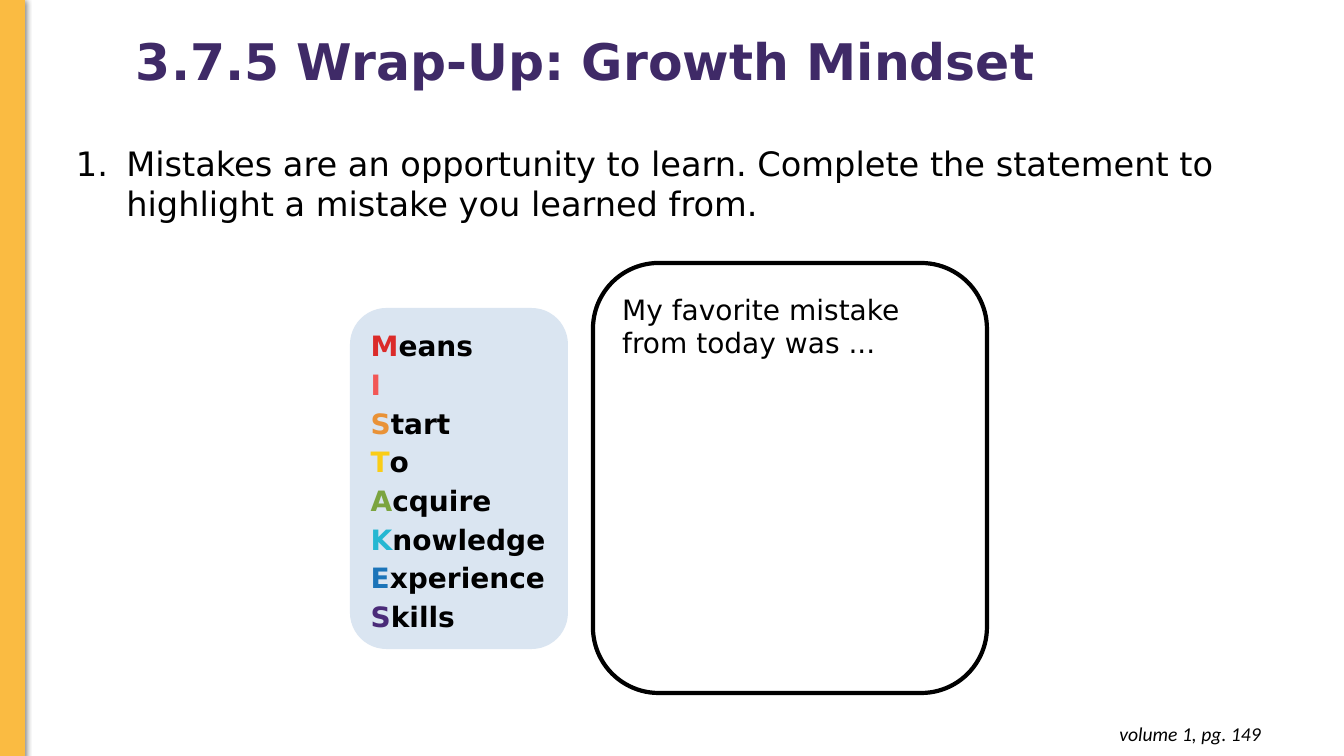
import pptx
import pptx.util
import pptx.dml.color
import pptx.enum.shapes
import pptx.enum.text
import pptx.oxml
import pptx.oxml.ns

PX = 12192000 / 1344
SANS = "DejaVu Sans"
SHAPE = pptx.enum.shapes.MSO_SHAPE
ALIGN = pptx.enum.text.PP_ALIGN
ANCHOR = pptx.enum.text.MSO_ANCHOR
FIT = pptx.enum.text.MSO_AUTO_SIZE


def rgb(color):
    return pptx.dml.color.RGBColor.from_string(color)


def write(p, text, color="000000", **fmt):
    """Add a run to p, with fmt giving its font attributes."""
    r = p.add_run()
    r.text = text
    r.font.color.rgb = rgb(color)
    for name, value in fmt.items():
        setattr(r.font, name, value)


prs = pptx.Presentation()
prs.slide_width, prs.slide_height = round(1344 * PX), round(756 * PX)
s = prs.slides.add_slide(prs.slide_layouts[1])
title, body = s.placeholders
bar = s.shapes.add_shape(SHAPE.RECTANGLE, 0, 0, 0, 0)
answer = s.shapes.add_shape(SHAPE.ROUNDED_RECTANGLE, 0, 0, 0, 0)
acronym = s.shapes.add_shape(SHAPE.ROUNDED_RECTANGLE, 0, 0, 0, 0)
page = s.shapes.add_textbox(0, 0, 0, 0)

# Position, vertical inset and anchor of every shape
layout = [
    (bar, (0, -1, 25, 757), 5, ANCHOR.MIDDLE),
    (answer, (593, 263, 394, 430), 10, ANCHOR.TOP),
    (acronym, (350, 308, 218, 341), 5, ANCHOR.MIDDLE),
    (page, (981, 712, 290, 44), 10, ANCHOR.TOP),
    (title, (126, 31, 1176, 66), 5, ANCHOR.MIDDLE),
    (body, (66, 138, 1206, 92), 5, ANCHOR.TOP),
]
for sp, box, inset, anchor in layout:
    sp.left, sp.top, sp.width, sp.height = [round(v * PX) for v in box]
    frame = {
        "word_wrap": True,
        "auto_size": FIT.NONE,
        "vertical_anchor": anchor,
        "margin_left": round(10 * PX),
        "margin_right": round(10 * PX),
        "margin_top": round(inset * PX),
        "margin_bottom": round(inset * PX),
    }
    for name, value in frame.items():
        setattr(sp.text_frame, name, value)
    sp.text_frame.paragraphs[0].alignment = ALIGN.LEFT

# Yellow side bar with a soft shadow
bar.fill.solid()
bar.fill.fore_color.rgb = rgb("FABB42")
bar.line.color.rgb = rgb("FABB42")
bar.line.width = pptx.util.Pt(0.75)
bar._element.spPr.append(pptx.oxml.parse_xml(
    f'<a:effectLst {pptx.oxml.ns.nsdecls("a")}>'
    '<a:outerShdw blurRad="57150" dist="19050" dir="5400000" algn="bl" rotWithShape="0">'
    '<a:srgbClr val="000000"><a:alpha val="50000"/></a:srgbClr>'
    '</a:outerShdw></a:effectLst>'))

# Title
p = title.text_frame.paragraphs[0]
p.line_spacing = 0.9
write(p, "3.7.5 Wrap-Up: Growth Mindset", "3F2A67",
      name=SANS, size=pptx.util.Pt(36), bold=True)

# Numbered prompt
p = body.text_frame.paragraphs[0]
pPr = p._p.get_or_add_pPr()
pPr.set("marL", "457200")
pPr.set("indent", "-457200")
number = pptx.oxml.parse_xml(
    f'<a:buAutoNum {pptx.oxml.ns.nsdecls("a")} type="arabicPeriod"/>')
pPr.append(number)
p.space_before = pptx.util.Pt(0)
write(p, "Mistakes are an opportunity to learn. Complete the statement to "
      "highlight a mistake you learned from.", name=SANS, size=pptx.util.Pt(24))

# Answer box
answer.shadow.inherit = False
answer.fill.background()
answer.line.color.rgb = rgb("000000")
answer.line.width = pptx.util.Pt(3)
p = answer.text_frame.paragraphs[0]
p.space_after = pptx.util.Pt(10)
write(p, "My favorite mistake from today was ...", name=SANS, size=pptx.util.Pt(20))

# MISTAKES acronym, each initial in its own colour
acronym.shadow.inherit = False
acronym.fill.solid()
acronym.fill.fore_color.rgb = rgb("DAE5F1")
acronym.line.fill.background()
words = [
    ("Means", "DB2B2A"), ("I", "F25756"), ("Start", "E99237"), ("To", "FACD17"),
    ("Acquire", "7BA43F"), ("Knowledge", "24B7D2"), ("Experience", "1B74B9"),
    ("Skills", "4A2B79"),
]
fmt = {"name": SANS, "size": pptx.util.Pt(20), "bold": True}
tf = acronym.text_frame
for i, (word, color) in enumerate(words):
    p = tf.add_paragraph() if i else tf.paragraphs[0]
    p.alignment = ALIGN.LEFT
    p.line_spacing = 1.15
    write(p, word[0], color, **fmt)
    if word[1:]:
        write(p, word[1:], **fmt)

# Page reference
p = page.text_frame.paragraphs[0]
p.alignment = ALIGN.RIGHT
write(p, "volume 1, pg. 149", name="Calibri", size=pptx.util.Pt(14), italic=True)

prs.save("out.pptx")
